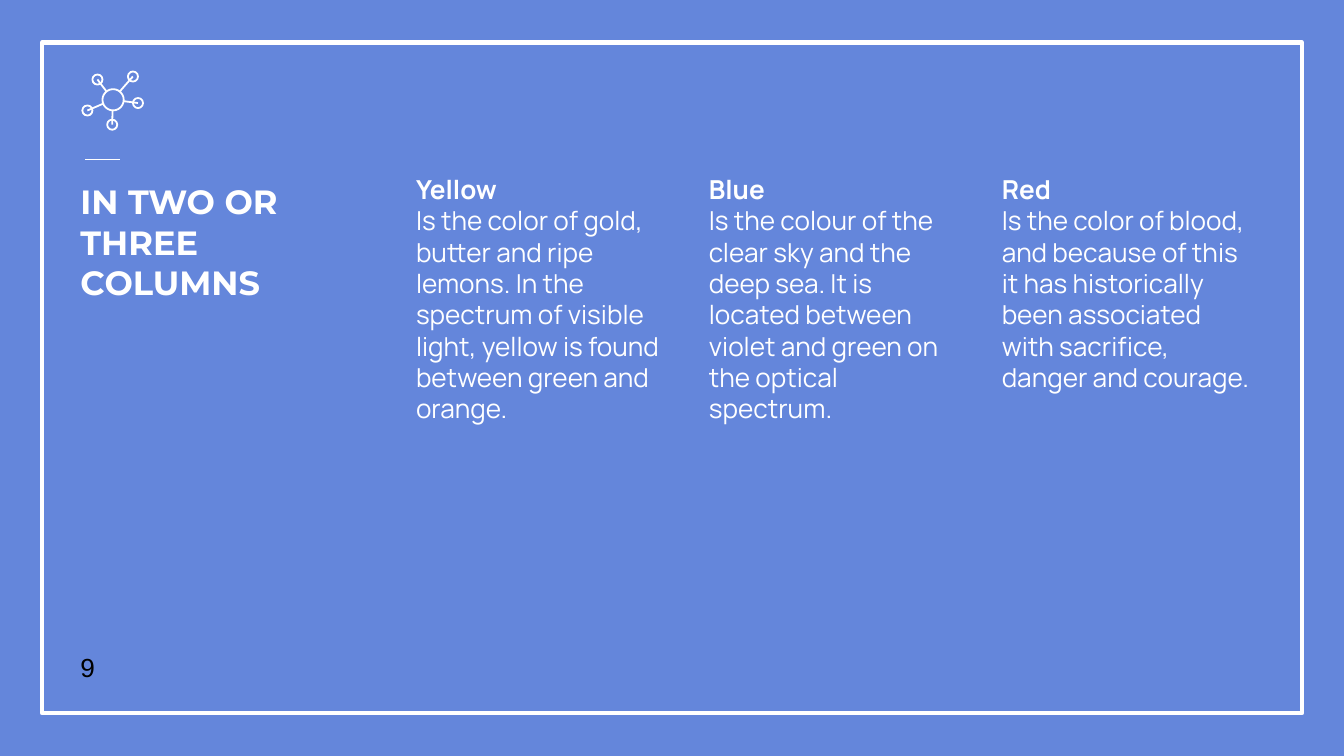
from typing import NamedTuple

from lxml.etree import SubElement
from pptx import Presentation
from pptx.dml.color import RGBColor
from pptx.enum.shapes import MSO_CONNECTOR, MSO_SHAPE
from pptx.enum.text import MSO_ANCHOR
from pptx.oxml.ns import qn
from pptx.util import Pt

WHITE, BLACK, BLUE = "FFFFFF", "000000", "6486DB"
INSET = 7.2
THIN = 0.96


class Column(NamedTuple):
    head: str
    body: str


class Node(NamedTuple):
    """A small ring, and the point where its spoke meets the hub."""
    x: float
    y: float
    hub_x: float
    hub_y: float


COLUMNS = [
    Column("Yellow", "Is the color of gold, butter and ripe lemons. In the spectrum "
           "of visible light, yellow is found between green and orange."),
    Column("Blue", "Is the colour of the clear sky and the deep sea. It is located "
           "between violet and green on the optical spectrum."),
    Column("Red", "Is the color of blood, and because of this it has historically "
           "been associated with sacrifice, danger and courage."),
]

NODES = [
    Node(71.2, 41, 64.2, 49),
    Node(52.2, 42.6, 56.9, 48.8),
    Node(46.8, 59.2, 55.2, 55.6),
    Node(60.1, 66.8, 60.3, 59.2),
    Node(73.9, 55.2, 66.3, 54.2),
]


def tint(code: str) -> RGBColor:
    return RGBColor.from_string(code)


def add_line(shapes, x1: float, y1: float, x2: float, y2: float, width: float) -> None:
    line = shapes.add_connector(
        MSO_CONNECTOR.STRAIGHT, Pt(x1), Pt(y1), Pt(x2), Pt(y2))
    line.line.color.rgb = tint(WHITE)
    line.line.width = Pt(width)
    SubElement(line._element.spPr, qn("a:effectLst"))


def add_shape(shapes, kind: MSO_SHAPE, left: float, top: float, width: float,
              height: float, stroke: float) -> None:
    """Draw an unfilled white outline."""
    shape = shapes.add_shape(kind, Pt(left), Pt(top), Pt(width), Pt(height))
    shape.shadow.inherit = False
    shape.fill.background()
    shape.line.color.rgb = tint(WHITE)
    shape.line.width = Pt(stroke)


def add_ring(shapes, x: float, y: float, size: float) -> None:
    add_shape(shapes, MSO_SHAPE.OVAL, x - size / 2, y - size / 2, size, size, THIN)


def add_text(shapes, lines: list[str], left: float, top: float, width: float,
             height: float, *, font: str, size: float, color: str = WHITE,
             bold: int = 0, anchor: MSO_ANCHOR = MSO_ANCHOR.TOP) -> None:
    """Add one paragraph per line; the first `bold` of them are bold."""
    frame = shapes.add_textbox(Pt(left), Pt(top), Pt(width), Pt(height)).text_frame
    frame.word_wrap = True
    frame.vertical_anchor = anchor
    frame.margin_left = frame.margin_right = Pt(INSET)
    frame.margin_top = frame.margin_bottom = Pt(INSET)
    for i, line in enumerate(lines):
        para = frame.paragraphs[0] if i == 0 else frame.add_paragraph()
        run = para.add_run()
        run.text = line
        run.font.name = font
        run.font.size = Pt(size)
        run.font.bold = i < bold
        run.font.color.rgb = tint(color)


def add_icon(shapes) -> None:
    group = shapes.add_group_shape().shapes
    for node in NODES:
        add_ring(group, node.x, node.y, 5.4)
        add_line(group, *node, THIN)
    add_ring(group, 60.6, 53.5, 11.4)


def main() -> None:
    deck = Presentation()
    deck.slide_width, deck.slide_height = Pt(720), Pt(405)
    slide = deck.slides.add_slide(deck.slide_layouts[6])
    slide.background.fill.solid()
    slide.background.fill.fore_color.rgb = tint(BLUE)
    shapes = slide.shapes

    add_shape(shapes, MSO_SHAPE.RECTANGLE, 22.5, 22.8, 675, 359.3, 2.25)
    add_line(shapes, 45.5, 85.4, 64.3, 85.4, 0.75)
    add_text(shapes, ["IN TWO OR THREE COLUMNS"], 36, 90, 170, 64,
             font="Montserrat", size=18, bold=1)
    for i, column in enumerate(COLUMNS):
        add_text(shapes, list(column), 215.8 + 156.9 * i, 85.6, 149, 302.4,
                 font="Manrope", size=14, bold=1)
    add_text(shapes, ["9"], 36, 330, 43.2, 43.2, font="Arial", size=14,
             color=BLACK, anchor=MSO_ANCHOR.BOTTOM)
    add_icon(shapes)
    deck.save("out.pptx")


if __name__ == "__main__":
    main()
